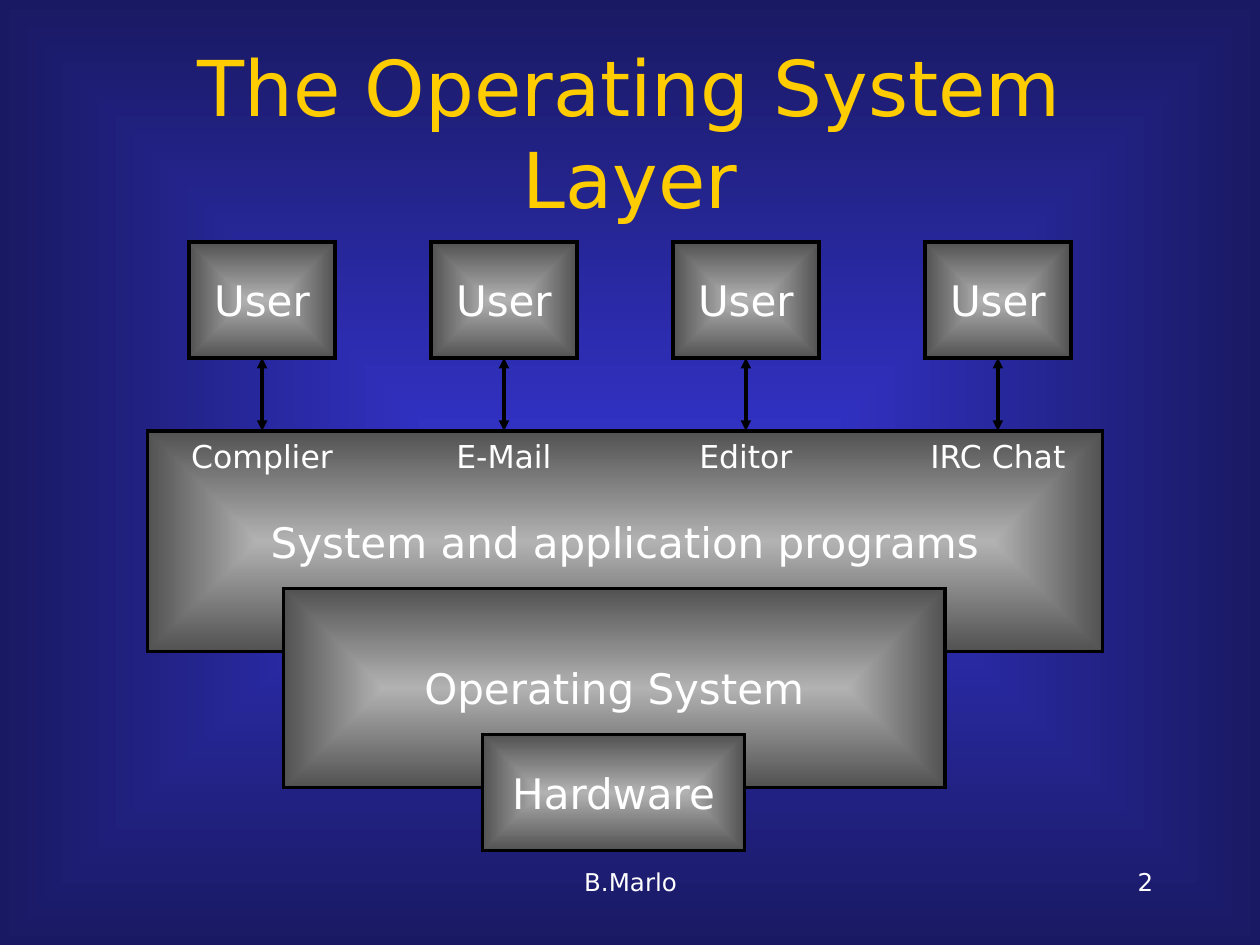
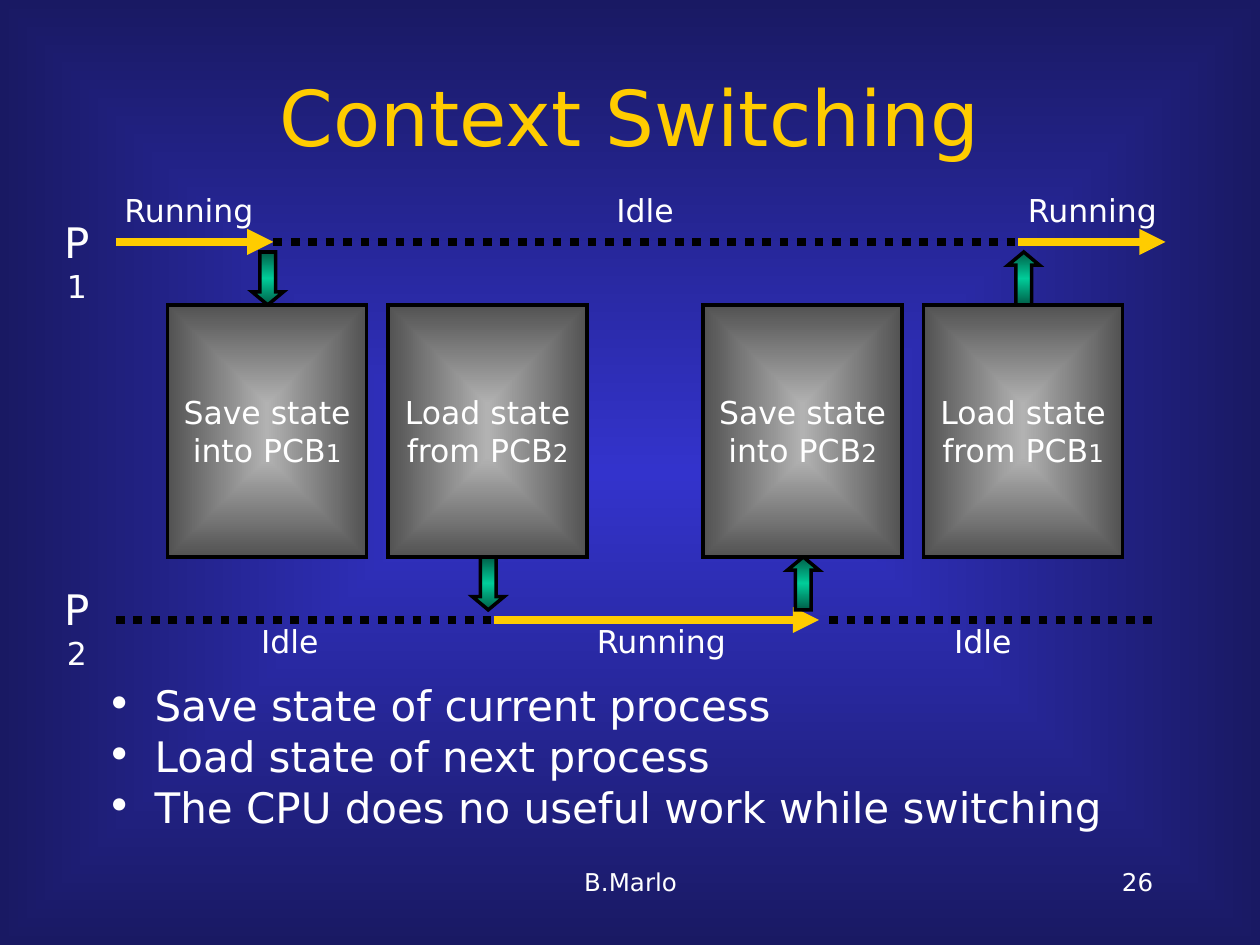
from pptx import Presentation, util as u
from pptx.dml.color import RGBColor
from pptx.enum import dml, shapes, text
from pptx.oxml import parse_xml
from pptx.oxml.ns import nsdecls, qn

HUES = {"ink": "FFFFFF", "gold": "FFCC00", "edge": "000000",
        "glow": "3333CC", "night": "191963", "pale": "B2B2B2",
        "dark": "525252", "pine": "005E47", "mint": "00CC99"}
FONT = "DejaVu Sans"
RECT = '<a:path path="rect"><a:fillToRect l="50000" t="50000" r="50000" b="50000"/></a:path>'
DOWN = '<a:lin ang="5400000" scaled="0"/>'
FADES = {"back": ([(0, "glow"), (100, "night")], RECT),
         "steel": ([(0, "pale"), (100, "dark")], RECT),
         "leaf": ([(0, "pine"), (50, "mint"), (100, "pine")], DOWN)}
SIDES = {"l": text.PP_ALIGN.LEFT, "c": text.PP_ALIGN.CENTER, "r": text.PP_ALIGN.RIGHT}
MID, TOP = text.MSO_ANCHOR.MIDDLE, text.MSO_ANCHOR.TOP

AUTHOR = "B.Marlo"
LAYERS = [("System and application programs", (1.17, 3.42, 7.58, 1.75)),
          ("Operating System", (2.25, 4.67, 5.25, 1.58)),
          ("Hardware", (3.83, 5.83, 2.08, 0.92))]
USERS = [("Complier", 2.08), ("E-Mail", 4), ("Editor", 5.92), ("IRC Chat", 7.92)]

ROWS = [("1", 1.67, 1.92, 1.5,
         [("Running", 0.92, 2.17, 1.5), ("Idle", 2.17, 8.08, 5.12), ("Running", 8.08, 9.25, 8.67)]),
        ("2", 4.58, 4.92, 4.92,
         [("Idle", 0.92, 3.92, 2.3), ("Running", 3.92, 6.5, 5.25), ("Idle", 6.58, 9.17, 7.8)])]
STEPS = [("Save state", "into PCB", "1", 1.33, "top", 0),
         ("Load state", "from PCB", "2", 3.08, "foot", 0),
         ("Save state", "into PCB", "2", 5.58, "foot", 180),
         ("Load state", "from PCB", "1", 7.33, "top", 180)]
ARROW = {"top": 2, "foot": 4.42}
NOTES = ["Save state of current process", "Load state of next process",
         "The CPU does no useful work while switching"]


def hue(name):
    return RGBColor.from_string(HUES[name])


def fade(fill, root, kind):
    fill.gradient()
    grad = root.find(".//" + qn("a:gradFill"))
    stops, shade = FADES[kind]
    marks = "".join(f'<a:gs pos="{pos * 1000}"><a:srgbClr val="{HUES[name]}"/></a:gs>'
                    for pos, name in stops)
    fresh = parse_xml(f'<a:gradFill {nsdecls("a")} rotWithShape="1">'
                      f'<a:gsLst>{marks}</a:gsLst>{shade}</a:gradFill>')
    grad.getparent().replace(grad, fresh)


def write(shape, paras, side="c", anchor=MID, wrap=False, tint="ink"):
    frame = shape.text_frame
    form = {"word_wrap": wrap, "vertical_anchor": anchor}
    for key, val in form.items():
        setattr(frame, key, val)
    for i, runs in enumerate(paras):
        para = frame.add_paragraph() if i else frame.paragraphs[0]
        para.alignment = SIDES[side]
        for words, size in runs:
            run = para.add_run()
            run.text = words
            run.font.color.rgb = hue(tint)
            for key, val in {"name": FONT, "size": u.Pt(size)}.items():
                setattr(run.font, key, val)
    return shape


def label(slide, box, paras, **form):
    return write(slide.shapes.add_textbox(*map(u.Inches, box)), paras, **form)


def block(slide, box, kind="steel", form=shapes.MSO_SHAPE.RECTANGLE):
    shape = slide.shapes.add_shape(form, *map(u.Inches, box))
    shape.shadow.inherit = False
    fade(shape.fill, shape._element, kind)
    shape.line.color.rgb = hue("edge")
    shape.line.width = u.Pt(2)
    edge = shape._element.spPr.find(qn("a:ln"))
    edge.append(parse_xml(f'<a:miter {nsdecls("a")} lim="800000"/>'))
    return shape


def link(slide, ends, tint, width, heads=(), dots=False):
    line = slide.shapes.add_connector(shapes.MSO_CONNECTOR.STRAIGHT, *map(u.Inches, ends))
    line.line.color.rgb = hue(tint)
    line.line.width = u.Pt(width)
    if dots:
        line.line.dash_style = dml.MSO_LINE.ROUND_DOT
    props = line._element.spPr
    for head in heads:
        props.find(qn("a:ln")).append(parse_xml(f'<a:{head} {nsdecls("a")} type="triangle"/>'))
    props.append(parse_xml(f'<a:effectLst {nsdecls("a")}/>'))
    return line


def start(deck, title, box, page):
    slide = deck.slides.add_slide(deck.slide_layouts[6])
    fade(slide.background.fill, slide._element, "back")
    label(slide, (3.42, 6.83, 3.17, 0.5), [[(AUTHOR, 14)]], anchor=TOP, wrap=True)
    label(slide, (7.17, 6.83, 2.08, 0.5), [[(page, 14)]], side="r", anchor=TOP, wrap=True)
    label(slide, box, [[(title, 44)]], wrap=True, tint="gold")
    return slide


def layers(deck):
    slide = start(deck, "The Operating System Layer", (0.75, 0.42, 8.5, 1.25), "2")
    for name, box in LAYERS:
        write(block(slide, box), [[(name, 24)]])
    for tool, mid in USERS:
        user = write(block(slide, (mid - 0.58, 1.92, 1.16, 0.92)), [[("User", 24)]])
        tag = label(slide, (mid - 0.67, 3.42, 1.34, 0.4), [[(tool, 18)]], anchor=TOP, wrap=True)
        line = link(slide, (mid, 2.84, mid, 3.42), "edge", 2, ("headEnd", "tailEnd"))
        line.begin_connect(user, 2)
        line.end_connect(tag, 0)


def switch(deck):
    slide = start(deck, "Context Switching", (0.75, 0.33, 8.5, 1.17), "26")
    for num, top, axis, tag, spans in ROWS:
        label(slide, (0.34, top, 0.54, 0.5), [[("P", 24), (num, 18)]], anchor=TOP, wrap=True)
        for state, left, right, mid in spans:
            idle = state == "Idle"
            link(slide, (left, axis, right, axis), "edge" if idle else "gold", 5,
                 () if idle else ("tailEnd",), idle)
            label(slide, (mid - 0.7, tag, 1.4, 0.33), [[(state, 18)]])
    for verb, place, num, left, edge, turn in STEPS:
        arrow = block(slide, (left + 0.67, ARROW[edge], 0.25, 0.42), "leaf",
                      shapes.MSO_SHAPE.DOWN_ARROW)
        arrow.adjustments[1] = 0.417
        arrow.rotation = turn
        write(block(slide, (left, 2.42, 1.58, 2)), [[(verb, 18)], [(place, 18), (num, 14)]])
    body = label(slide, (0.75, 5.42, 8.5, 1.25), [[(note, 24)] for note in NOTES],
                 side="l", anchor=TOP, wrap=True)
    for i, para in enumerate(body.text_frame.paragraphs):
        props = para._p.get_or_add_pPr()
        for key, val in {"marL": 0.38, "indent": -0.38}.items():
            props.set(key, str(int(u.Inches(val))))
        props.append(parse_xml(f'<a:buClr {nsdecls("a")}><a:srgbClr val="{HUES["ink"]}"/></a:buClr>'))
        props.append(parse_xml(f'<a:buFont {nsdecls("a")} typeface="{FONT}"/>'))
        props.append(parse_xml(f'<a:buChar {nsdecls("a")} char="•"/>'))
        for key, val in {"line_spacing": 0.8, "space_before": u.Pt(6 if i else 0)}.items():
            setattr(para, key, val)


def main():
    deck = Presentation()
    deck.slide_width, deck.slide_height = u.Inches(10), u.Inches(7.5)
    layers(deck)
    switch(deck)
    deck.save("out.pptx")


if __name__ == "__main__":
    main()
